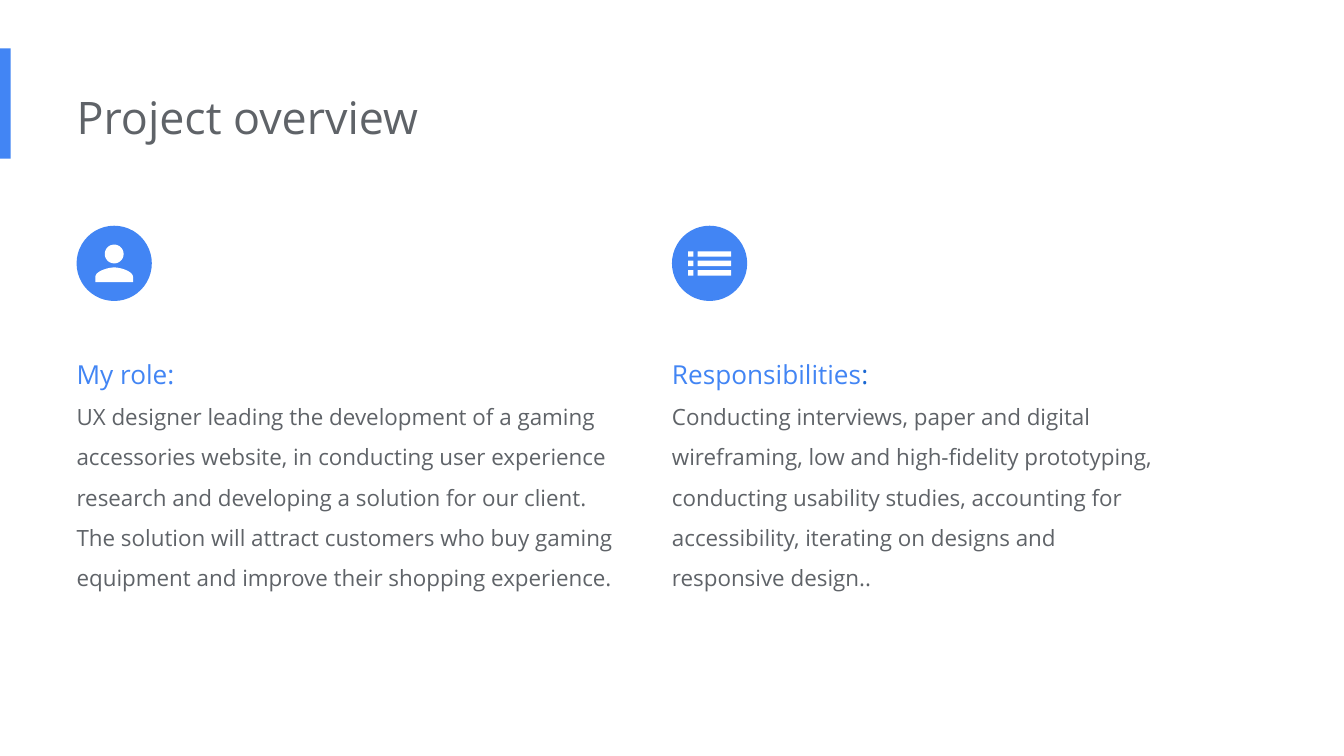
from math import cos, pi, sin

from pptx import Presentation
from pptx.dml.color import RGBColor
from pptx.enum.shapes import MSO_SHAPE as SHAPE
from pptx.enum.text import MSO_ANCHOR as ANCHOR, MSO_AUTO_SIZE as AUTO, PP_ALIGN as ALIGN
from pptx.util import Inches, Pt

COLORS = {"blue": "4285F4", "deep": "1967D2", "gray": "5F6368", "white": "FFFFFF"}
FONT = "Open Sans"
ICON = 0.56
ICON_TOP = 1.68


def rgb(name):
    return RGBColor.from_string(COLORS[name])


def add_run(p, text, size=12, color="gray"):
    r = p.add_run()
    r.text = text
    r.font.name = FONT
    r.font.size = Pt(size)
    r.font.color.rgb = rgb(color)


def box(x, y, w, h):
    return [(x, y), (x + w, y), (x + w, y + h), (x, y + h)]


def circle(cx, cy, radius, steps=48):
    angles = [2 * pi * i / steps for i in range(steps)]
    return [(cx + radius * cos(a), cy + radius * sin(a)) for a in angles]


def curve(a, b, c, d, steps=16):
    """Points along a cubic Bezier curve."""
    def at(t, i):
        u = 1 - t
        return u**3 * a[i] + 3 * u * u * t * b[i] + 3 * u * t * t * c[i] + t**3 * d[i]
    return [(at(n / steps, 0), at(n / steps, 1)) for n in range(steps + 1)]


class Deck:
    def __init__(self, prs):
        self.s = prs.slides.add_slide(prs.slide_layouts[5])

    def paint(self, sp, color):
        sp.shadow.inherit = False
        sp.fill.solid()
        sp.fill.fore_color.rgb = rgb(color)
        sp.line.fill.background()

    def shape(self, kind, x, y, w, h, color="blue"):
        sp = self.s.shapes.add_shape(kind, Inches(x), Inches(y), Inches(w), Inches(h))
        self.paint(sp, color)

    def outline(self, contours, color="white"):
        contours = [[(Inches(x), Inches(y)) for x, y in c] for c in contours]
        fb = self.s.shapes.build_freeform(*contours[0][0])
        for i, points in enumerate(contours):
            if i:
                fb.move_to(*points[0])
            fb.add_line_segments(points[1:], close=True)
        self.paint(fb.convert_to_shape(), color)

    def frame(self, sp):
        tf = sp.text_frame
        tf.word_wrap = True
        tf.auto_size = AUTO.NONE
        tf.vertical_anchor = ANCHOR.TOP
        tf.margin_left = 0
        tf.margin_top = tf.margin_right = tf.margin_bottom = Inches(0.1)
        return tf

    def title(self, text, x, y, w, h):
        sp = self.s.shapes.title
        sp.left, sp.top, sp.width, sp.height = map(Inches, (x, y, w, h))
        p = self.frame(sp).paragraphs[0]
        p.alignment = ALIGN.LEFT
        add_run(p, text, size=24)

    def column(self, x, w, heading, colon, body):
        self.shape(SHAPE.OVAL, x, ICON_TOP, ICON, ICON)
        sp = self.s.shapes.add_textbox(Inches(x), Inches(2.45), Inches(w), Inches(2.07))
        tf = self.frame(sp)
        p = tf.paragraphs[0]
        add_run(p, heading, size=14, color="blue")
        add_run(p, ":", size=14, color=colon)
        add_run(tf.add_paragraph(), body)
        for p in tf.paragraphs:
            p.line_spacing = 1.5

    def person_icon(self, cx, cy):
        left, right, top = cx - 0.14, cx + 0.14, cy + 0.03
        shoulder, base = cy + 0.1, cy + 0.14
        body = curve((left, shoulder), (left, top + 0.03), (cx - 0.05, top), (cx, top))
        body += curve((cx, top), (cx + 0.05, top), (right, top + 0.03), (right, shoulder))
        body += [(right, base), (left, base)]
        self.outline([circle(cx, cy - 0.07, 0.07), body])

    def list_icon(self, x, y):
        rows = [y + 0.07 * i for i in range(3)]
        self.outline([box(x + dx, row, w, 0.04)
                      for row in rows for dx, w in ((0, 0.04), (0.07, 0.25))])


def main():
    # Widescreen page, 16:9
    prs = Presentation()
    prs.slide_width = Inches(10)
    prs.slide_height = Inches(10 * 9 / 16)
    deck = Deck(prs)

    # Accent bar and title
    deck.shape(SHAPE.RECTANGLE, 0, 0.36, 0.08, 0.82)
    deck.title("Project overview", 0.57, 0.57, 6.73, 0.61)

    # Role
    deck.column(0.57, 4.13, "My role", "blue",
                "UX designer leading the development of a gaming accessories website, "
                "in conducting user experience research and developing a solution for "
                "our client. The solution will attract customers who buy gaming "
                "equipment and improve their shopping experience.")
    deck.person_icon(0.57 + ICON / 2, ICON_TOP + ICON / 2)

    # Responsibilities
    deck.column(5, 3.77, "Responsibilities", "deep",
                "Conducting interviews, paper and digital wireframing, low and "
                "high-fidelity prototyping, conducting usability studies, accounting "
                "for accessibility, iterating on designs and responsive design..")
    deck.list_icon(5.12, 1.87)

    prs.save("out.pptx")


if __name__ == "__main__":
    main()
